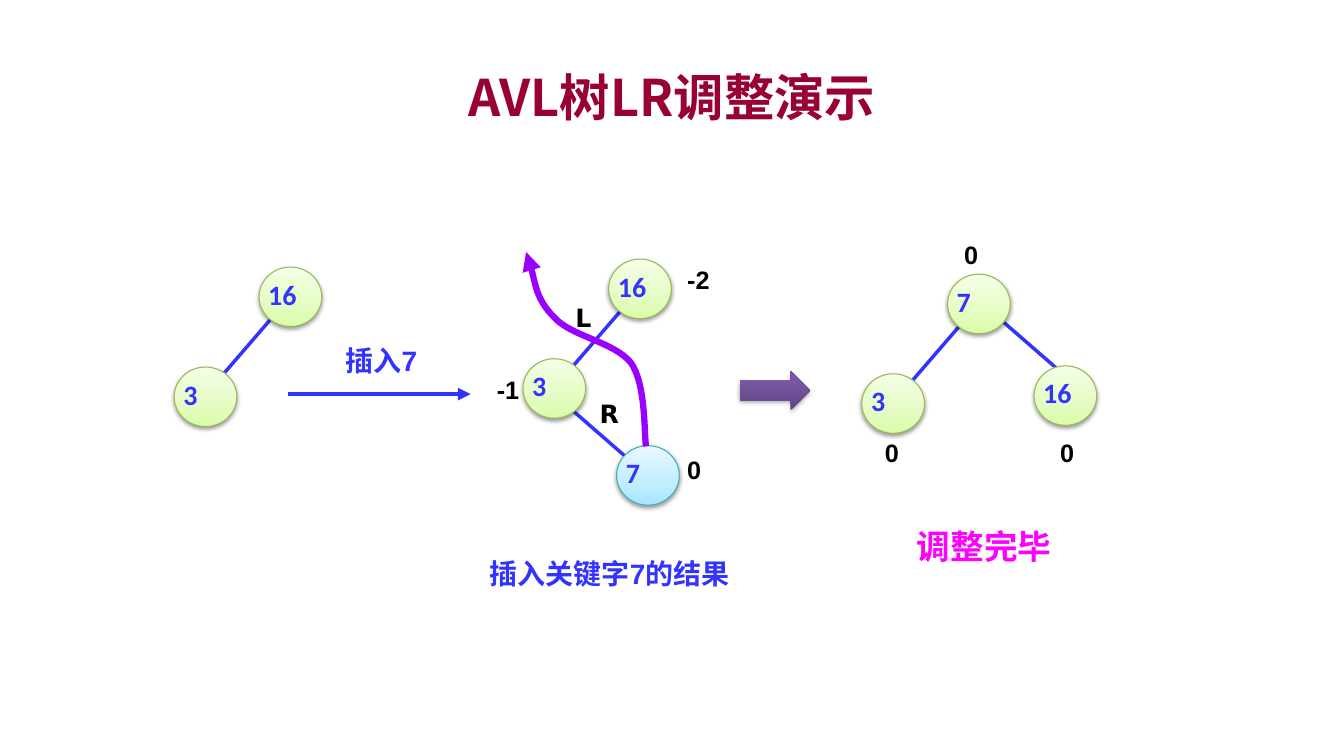
import pptx
import pptx.util
import pptx.dml.color
import pptx.enum.shapes
import pptx.enum.text
import pptx.oxml.ns
from lxml import etree

Cm, Pt = pptx.util.Cm, pptx.util.Pt
qn = pptx.oxml.ns.qn
SHAPE = pptx.enum.shapes.MSO_SHAPE
ANCHOR = pptx.enum.text.MSO_ANCHOR
ALIGN = pptx.enum.text.PP_ALIGN

# Content: all lengths in centimetres
COLORS = {"title": "990033", "blue": "3333FF", "black": "000000",
          "done": "FF00FF", "path": "9900FF",
          "green_line": "98B955", "cyan_line": "46AAC5"}
GRADIENTS = {  # position in percent, colour; from bottom to top
    "green": [(0, "DAFDA7"), (35, "E4FCC2"), (100, "F5FFE7")],
    "cyan": [(0, "A7E6FF"), (35, "C1EDFF"), (100, "E7F8FF")],
    "purple": [(0, "5F4480"), (80, "7B58A6"), (100, "7C57A8")],
}
CJK = "Noto Sans CJK SC"
TITLE = ("AVL树LR调整演示", (2.54, 1.47, 28.78, 1.9))

NODE_SIZE = (1.58, 1.5)
EDGE_RUN = {"left": (-1.45, 1.68), "right": (1.55, 1.35)}
TREES = [
    {"edges": [("left", 6.86, 8.0)],
     "nodes": [("16", 6.53, 6.73, "green"), ("3", 4.39, 9.25, "green")]},
    {"edges": [("right", 14.22, 10.16), ("left", 15.67, 7.8)],
     "nodes": [("16", 15.34, 6.53, "green"), ("3", 13.18, 9.04, "green"),
               ("7", 15.54, 11.23, "cyan")]},
    {"edges": [("right", 25.27, 8.1), ("left", 24.21, 8.18)],
     "nodes": [("7", 23.88, 6.91, "green"), ("3", 21.72, 9.42, "green"),
               ("16", 26.06, 9.22, "green")]},
]

MARK_SIZE = (1.2, 1.02)
MARKS = [  # balance factors and rotation letters
    ("0", 24.05, 5.89, "Arial"), ("0", 22.05, 10.9, "Arial"),
    ("0", 26.47, 10.9, "Arial"), ("R", 14.86, 9.91, "DejaVu Sans"),
    ("L", 14.25, 7.49, "DejaVu Sans"), ("0", 17.07, 11.33, "Arial"),
    ("-2", 17.07, 6.53, "Arial"), ("-1", 12.27, 9.3, "Arial"),
]
CAPTIONS = [
    ("插入7", (8.46, 8.53, 2.59, 1.09), 20, "Arial", "blue"),
    ("插入关键字7的结果", (12.09, 13.89, 7.21, 1.09), 20, "Arial", "blue"),
    ("调整完毕", (22.86, 13.13, 4.8, 1.27), 24, CJK, "done"),
]
INSERT_ARROW = (7.26, 9.93, 11.86, 9.93)
RESULT_ARROW = (18.64, 9.35, 1.78, 0.99)
ROTATION_PATH = [  # start, then control, control, end for each curve
    (16.28, 11.25),
    (16.23, 10.9), (16.28, 9.68), (15.9, 9.14),
    (15.47, 8.61), (14.4, 8.48), (13.97, 8.0),
    (13.51, 7.54), (13.41, 6.71), (13.26, 6.35),
]


def rgb(name):
    return pptx.dml.color.RGBColor.from_string(COLORS[name])


def write(frame, text, size=18, font="Arial", color="black", align=ALIGN.LEFT,
          anchor=ANCHOR.TOP, insets=(0.25, 0.13, 0.25, 0.13), spacing=None):
    frame.word_wrap = True
    frame.vertical_anchor = anchor
    (frame.margin_left, frame.margin_top,
     frame.margin_right, frame.margin_bottom) = map(Cm, insets)
    paragraph = frame.paragraphs[0]
    paragraph.alignment = align
    paragraph.line_spacing = spacing
    run = paragraph.add_run()
    run.text = text
    run.font.size = Pt(size)
    run.font.name = font
    run.font.bold = True
    run.font.color.rgb = rgb(color)
    east_asian = etree.SubElement(run.font._element, qn("a:ea"))
    east_asian.set("typeface", CJK)


def add_label(text, box, **text_format):
    write(slide.shapes.add_textbox(*map(Cm, box)).text_frame, text, **text_format)


def style_line(part, color, width, arrow=False):
    part.line.color.rgb = rgb(color)
    part.line.width = Pt(width)
    if arrow:
        outline = part._element.spPr.find(qn("a:ln"))
        etree.SubElement(outline, qn("a:tailEnd")).set("type", "triangle")


def add_line(x1, y1, x2, y2, width, arrow=False):
    line = slide.shapes.add_connector(
        pptx.enum.shapes.MSO_CONNECTOR.STRAIGHT, *map(Cm, (x1, y1, x2, y2)))
    style_line(line, "blue", width, arrow)
    etree.SubElement(line._element.spPr, qn("a:effectLst"))


def add_glossy(kind, box, gradient, shadow_alpha):
    """Preset shape with a vertical gradient and a soft shadow below."""
    shape = slide.shapes.add_shape(kind, *map(Cm, box))
    shape.fill.gradient()
    shape.fill.gradient_angle = 90
    properties = shape._element.spPr
    stops = properties.find(qn("a:gradFill")).find(qn("a:gsLst"))
    for stop in list(stops):
        stops.remove(stop)
    for position, color in GRADIENTS[gradient]:
        stop = etree.SubElement(stops, qn("a:gs"), pos=str(position * 1000))
        etree.SubElement(stop, qn("a:srgbClr"), val=color)
    shape.line.fill.background()
    shape.shadow.inherit = False
    shadow = etree.SubElement(
        properties.find(qn("a:effectLst")), qn("a:outerShdw"),
        blurRad=str(Pt(3.1)), dist=str(Pt(1.6)), dir="5400000", rotWithShape="0")
    shade = etree.SubElement(shadow, qn("a:srgbClr"), val=COLORS["black"])
    etree.SubElement(shade, qn("a:alpha"), val=str(shadow_alpha * 1000))
    return shape


def add_curve(points):
    start, *rest = [(Cm(x), Cm(y)) for x, y in points]
    builder = slide.shapes.build_freeform(*start)
    builder.add_line_segments(rest, close=False)
    curve = builder.convert_to_shape()
    # Join every three straight segments into one Bezier segment
    segments = list(curve._element.iter(qn("a:lnTo")))
    for i in range(0, len(segments), 3):
        bezier = etree.Element(qn("a:cubicBezTo"))
        segments[i].addprevious(bezier)
        for segment in segments[i:i + 3]:
            bezier.append(segment[0])
            segment.getparent().remove(segment)
    curve.fill.background()
    curve.shadow.inherit = False
    style_line(curve, "path", 4.5, arrow=True)


presentation = pptx.Presentation()
presentation.slide_width, presentation.slide_height = Cm(33.87), Cm(19.05)
slide = presentation.slides.add_slide(presentation.slide_layouts[6])

# Title
add_label(*TITLE, size=36, font=CJK, color="title",
          align=ALIGN.CENTER, anchor=ANCHOR.MIDDLE)

# Trees: edges behind nodes
for tree in TREES:
    for side, x, y in tree["edges"]:
        run_x, run_y = EDGE_RUN[side]
        add_line(x, y, x + run_x, y + run_y, 2.5)
    for key, x, y, tint in tree["nodes"]:
        node = add_glossy(SHAPE.OVAL, (x, y, *NODE_SIZE), tint, 38)
        style_line(node, tint + "_line", 0.75)
        write(node.text_frame, key, size=20, font="Calibri", color="blue",
              insets=(0, 0.2, 0, 0), spacing=0.8)

# Balance factors, rotation letters and captions
for mark, x, y, font in MARKS:
    add_label(mark, (x, y, *MARK_SIZE), font=font)
for caption, box, size, font, color in CAPTIONS:
    add_label(caption, box, size=size, font=font, color=color)

# Arrows
add_line(*INSERT_ARROW, 3, arrow=True)
add_curve(ROTATION_PATH)
add_glossy(SHAPE.RIGHT_ARROW, RESULT_ARROW, "purple", 35)

presentation.save("out.pptx")
